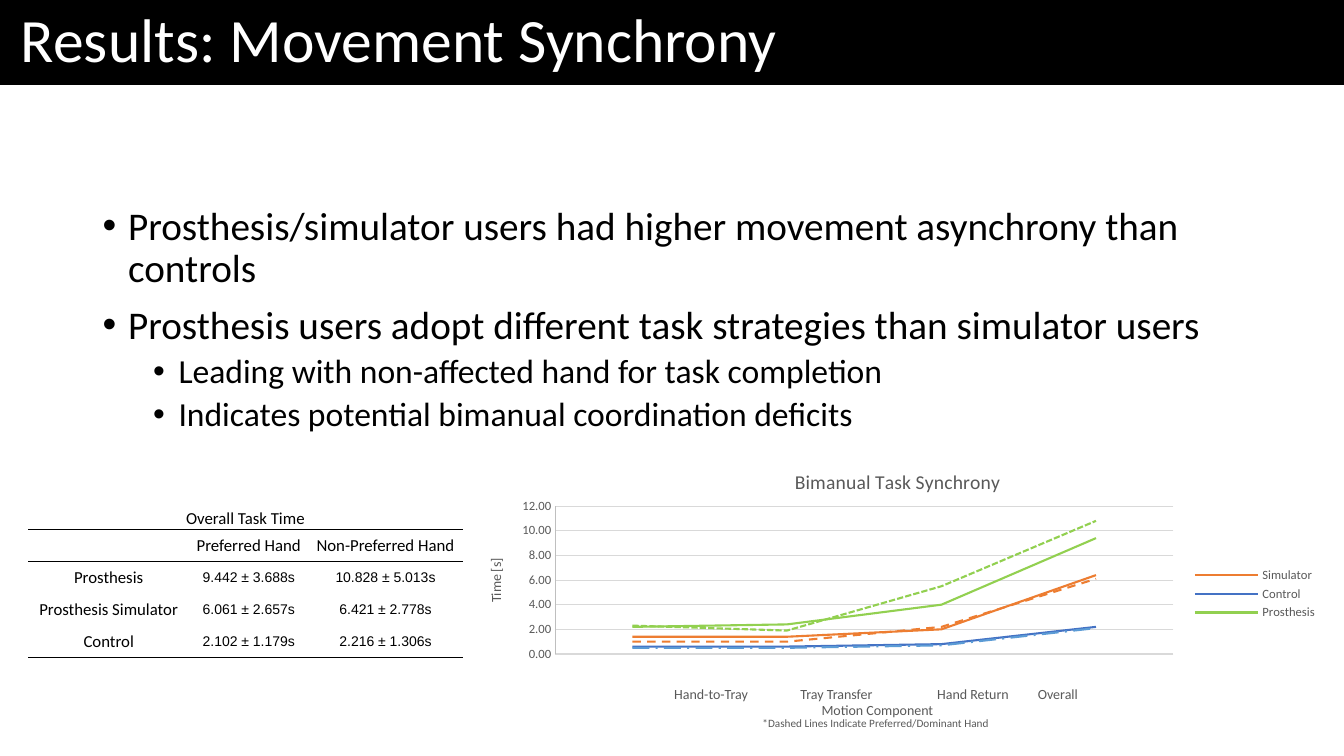
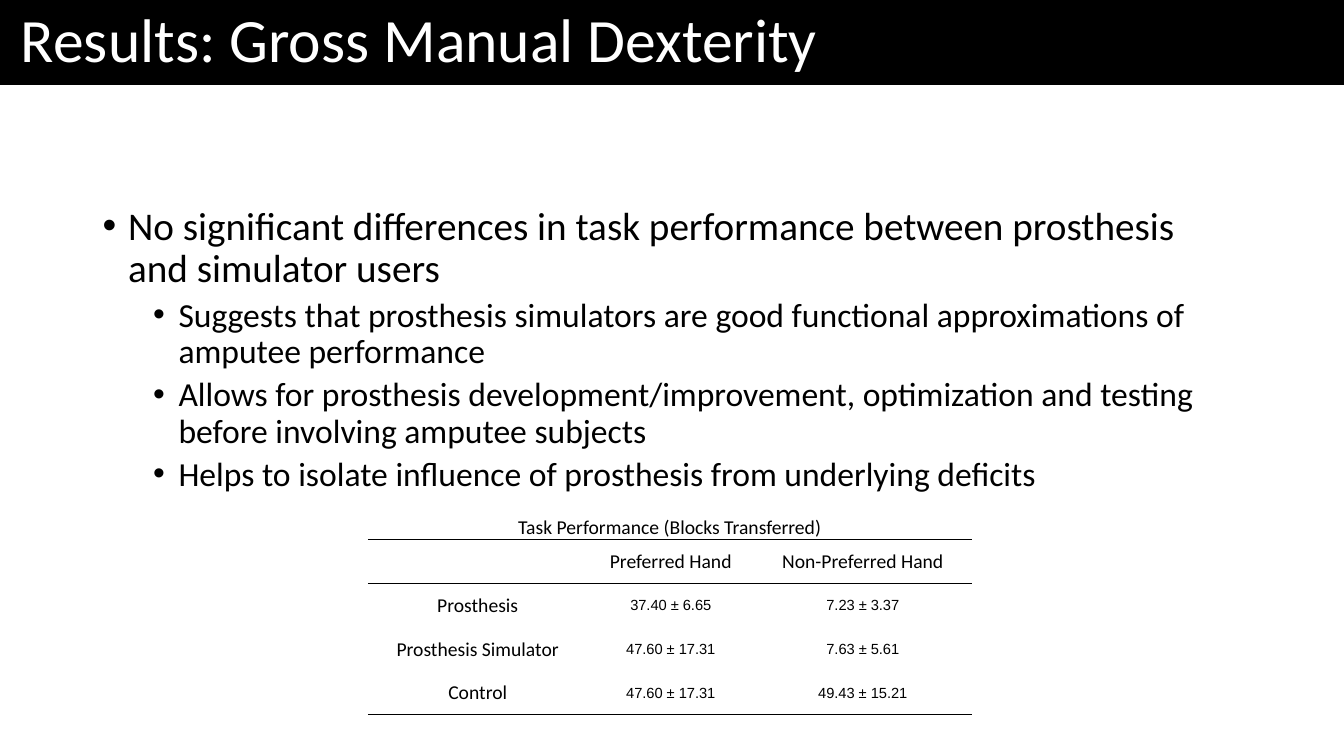
from dataclasses import dataclass
from typing import Optional

from lxml.etree import SubElement
from pptx import Presentation
from pptx.chart.data import XyChartData
from pptx.dml.color import RGBColor
from pptx.enum.chart import XL_AXIS_CROSSES as Crosses
from pptx.enum.chart import XL_CHART_TYPE as ChartType
from pptx.enum.chart import XL_LEGEND_POSITION as LegendPosition
from pptx.enum.chart import XL_TICK_MARK as TickMark
from pptx.enum.dml import MSO_LINE_DASH_STYLE as Dash
from pptx.enum.shapes import MSO_SHAPE as Shape
from pptx.enum.text import MSO_ANCHOR as Anchor
from pptx.enum.text import PP_ALIGN as Align
from pptx.oxml.ns import qn
from pptx.util import Cm, Pt


# Theme
@dataclass(frozen=True)
class Theme:
    font: str = "Calibri"
    number_font: str = "Arial"
    black: str = "000000"
    white: str = "FFFFFF"
    gray: str = "595959"
    axis: str = "BFBFBF"
    grid: str = "D9D9D9"
    orange: str = "ED7D31"
    blue: str = "4472C4"
    light_blue: str = "5B9BD5"
    green: str = "92D050"
    title_size: float = 44
    bullet_sizes: tuple[float, float] = (28, 24)
    chart_title_size: float = 14
    label_size: float = 10
    tick_size: float = 9
    note_size: float = 8


THEME = Theme()
PAGE_WIDTH, PAGE_HEIGHT = 33.87, 19.05
BAND_HEIGHT = 2.13
NO_TABLE_STYLE = "{2D5ABB26-0587-4C30-8999-92F81FD0307C}"


# Content records; lengths in centimetres
@dataclass(frozen=True)
class Bullet:
    text: str
    level: int = 0


@dataclass(frozen=True)
class ResultTable:
    caption: str
    rows: list[tuple[str, str, str]]
    left: float
    top: float
    widths: tuple[float, float, float]
    row_height: float
    text_size: float
    number_size: float


@dataclass(frozen=True)
class TimeSeries:
    name: str
    values: tuple[float, ...]
    color: str
    dash: Optional[Dash] = None  # dashed lines stay out of the legend


@dataclass(frozen=True)
class Label:
    text: str
    center: float
    middle: float
    size: float = THEME.label_size


# Text
def write(para, text: str, *, size: float, color: str = THEME.black,
          font: str = THEME.font, align: Optional[Align] = None) -> None:
    para.alignment = align
    span = para.add_run()
    span.text = text
    style_font(span.font, size, color, font)


def style_font(target, size: float, color: str, font: str = THEME.font) -> None:
    target.size, target.name, target.bold = Pt(size), font, False
    target.color.rgb = RGBColor.from_string(color)


def add_box(page, left: float, top: float, width: float, height: float,
            anchor: Anchor = Anchor.TOP):
    frame = page.shapes.add_textbox(Cm(left), Cm(top), Cm(width), Cm(height)).text_frame
    frame.word_wrap = True
    frame.vertical_anchor = anchor
    return frame


# Parts that both slides share
def add_page(deck, title: str, bullets: list[Bullet], body_height: float):
    page = deck.slides.add_slide(deck.slide_layouts[6])
    band = page.shapes.add_shape(Shape.RECTANGLE, 0, 0, Cm(PAGE_WIDTH), Cm(BAND_HEIGHT))
    band.shadow.inherit = False
    band.fill.solid()
    band.fill.fore_color.rgb = RGBColor.from_string(THEME.black)
    style_line(band.line, THEME.black, 1)

    body = add_box(page, 2.34, 5.08, 29.21, body_height)
    for index, bullet in enumerate(bullets):
        para = body.add_paragraph() if index else body.paragraphs[0]
        add_bullet(para, bullet)

    heading = add_box(page, 0.28, 0.03, 21.31, 2.11, Anchor.MIDDLE).paragraphs[0]
    heading.line_spacing = 0.9
    write(heading, title, size=THEME.title_size, color=THEME.white)
    return page


def add_bullet(para, bullet: Bullet) -> None:
    para.level = bullet.level
    para.line_spacing = 0.9
    para.space_before = Pt(5 if bullet.level else 10)
    write(para, bullet.text, size=THEME.bullet_sizes[bullet.level])
    properties = para._p.get_or_add_pPr()
    properties.set("marL", str(Cm(0.64 + 1.27 * bullet.level)))
    properties.set("indent", str(-Cm(0.64)))
    SubElement(properties, qn("a:buFont")).set("typeface", THEME.number_font)
    SubElement(properties, qn("a:buChar")).set("char", "•")


def style_line(line, color: str, width: float) -> None:
    line.color.rgb = RGBColor.from_string(color)
    line.width = Pt(width)


# Table
def add_result_table(page, data: ResultTable) -> None:
    rows = [(data.caption, "", ""), ("", "Preferred Hand", "Non-Preferred Hand"), *data.rows]
    table = page.shapes.add_table(
        len(rows), 3, Cm(data.left), Cm(data.top), Cm(sum(data.widths)),
        Cm(data.row_height * len(rows))).table
    table.first_row = table.horz_banding = False
    table._tbl.tblPr.find(qn("a:tableStyleId")).text = NO_TABLE_STYLE
    for column, width in zip(table.columns, data.widths):
        column.width = Cm(width)
    table.cell(0, 0).merge(table.cell(0, 2))

    for row, texts in enumerate(rows):
        table.rows[row].height = Cm(data.row_height)
        for column, text in enumerate(texts):
            cell = table.cell(row, column)
            cell.margin_left = cell.margin_right = cell.margin_top = Cm(0.03)
            cell.margin_bottom = 0
            cell.vertical_anchor = Anchor.MIDDLE if row else Anchor.BOTTOM
            if row:
                cell.fill.solid()
                cell.fill.fore_color.rgb = RGBColor.from_string(THEME.white)
            else:
                cell.fill.background()
            if row in (0, 1, len(rows) - 1):
                add_bottom_rule(cell)
            if text:
                numeric = row > 1 and column > 0
                write(cell.text_frame.paragraphs[0], text, align=Align.CENTER,
                      size=data.number_size if numeric else data.text_size,
                      font=THEME.number_font if numeric else THEME.font)


def add_bottom_rule(cell) -> None:
    properties = cell._tc.get_or_add_tcPr()
    rule = SubElement(properties, qn("a:lnB"), w=str(Pt(0.5)))
    properties.insert(0, rule)
    SubElement(SubElement(rule, qn("a:solidFill")), qn("a:srgbClr"), val=THEME.black)


# Chart
def set_layout(parent, **fractions: float) -> None:
    layout = parent.find(qn("c:layout"))
    if layout is None:
        layout = SubElement(parent, qn("c:layout"))
        parent.insert(0 if parent.find(qn("c:tx")) is None else 1, layout)
    manual = SubElement(layout, qn("c:manualLayout"))
    settings = {"xMode": "edge", "yMode": "edge", **fractions}
    if "w" in fractions:
        settings = {"layoutTarget": "inner", **settings}
    for name, value in settings.items():
        SubElement(manual, qn(f"c:{name}")).set("val", str(value))


def add_time_chart(page, series_list: list[TimeSeries]) -> None:
    data = XyChartData(number_format="0.00")
    for item in series_list:
        series = data.add_series(item.name)
        for position, value in enumerate(item.values, start=1):
            series.add_data_point(position, value)
    chart = page.shapes.add_chart(
        ChartType.XY_SCATTER_LINES_NO_MARKERS, Cm(11.66), Cm(11.28), Cm(21.79), Cm(7.37),
        data).chart
    style_font(chart.font, THEME.label_size, THEME.black)
    chart.plots[0].vary_by_categories = False
    set_layout(chart.element.find(f".//{qn('c:plotArea')}"), x=0.107, y=0.2, w=0.715, h=0.506)

    for series, item in zip(chart.plots[0].series, series_list):
        series.smooth = False
        style_line(series.format.line, item.color, 1.5)
        if item.dash is not None:
            series.format.line.dash_style = item.dash

    # Titles
    chart.has_title = True
    write(chart.chart_title.text_frame.paragraphs[0], "Bimanual Task Synchrony",
          size=THEME.chart_title_size, color=THEME.gray)
    set_layout(chart.chart_title.element, x=0.38, y=0.06)
    times = chart.value_axis
    times.has_title = True
    write(times.axis_title.text_frame.paragraphs[0], "Time [s]",
          size=THEME.label_size, color=THEME.gray)
    rotation = times.axis_title.element.find(f".//{qn('a:bodyPr')}")
    rotation.set("rot", "-5400000")
    rotation.set("vert", "horz")
    set_layout(times.axis_title.element, x=0.025, y=0.37)

    # Axes
    times.minimum_scale, times.maximum_scale, times.major_unit = 0, 12, 2
    times.major_tick_mark = times.minor_tick_mark = TickMark.NONE
    times.tick_labels.number_format = "0.00"
    times.tick_labels.number_format_is_linked = False
    style_font(times.tick_labels.font, THEME.tick_size, THEME.gray)
    style_line(times.format.line, THEME.axis, 0.75)
    style_line(times.major_gridlines.format.line, THEME.grid, 0.75)
    components = chart.category_axis
    components.minimum_scale, components.maximum_scale = 0.5, 4.5
    components.has_major_gridlines = False
    components.crosses = Crosses.MINIMUM
    components.visible = False

    # Legend with the solid lines only
    chart.has_legend = True
    chart.legend.position = LegendPosition.RIGHT
    chart.legend.include_in_layout = False
    style_font(chart.legend.font, THEME.tick_size, THEME.gray)
    legend = chart.element.find(f".//{qn('c:legend')}")
    dashed = [index for index, item in enumerate(series_list) if item.dash is not None]
    for place, index in enumerate(dashed, start=1):
        entry = SubElement(legend, qn("c:legendEntry"))
        SubElement(entry, qn("c:idx")).set("val", str(index))
        SubElement(entry, qn("c:delete")).set("val", "1")
        legend.insert(place, entry)


def add_label(page, label: Label) -> None:
    width, height = 8, 0.5
    frame = add_box(page, label.center - width / 2, label.middle - height / 2,
                    width, height, Anchor.MIDDLE)
    frame.margin_top = frame.margin_bottom = 0
    write(frame.paragraphs[0], label.text, size=label.size, color=THEME.gray,
          align=Align.CENTER)


# Slide content
SYNCHRONY_BULLETS = [
    Bullet("Prosthesis/simulator users had higher movement asynchrony than controls"),
    Bullet("Prosthesis users adopt different task strategies than simulator users"),
    Bullet("Leading with non-affected hand for task completion", 1),
    Bullet("Indicates potential bimanual coordination deficits", 1),
]
DEXTERITY_BULLETS = [
    Bullet("No significant differences in task performance between prosthesis and simulator users"),
    Bullet("Suggests that prosthesis simulators are good functional approximations of amputee performance", 1),
    Bullet("Allows for prosthesis development/improvement, optimization and testing before involving amputee subjects", 1),
    Bullet("Helps to isolate influence of prosthesis from underlying deficits", 1),
]
TASK_TIME = ResultTable("Overall Task Time", [
    ("Prosthesis", "9.442 ± 3.688s", "10.828 ± 5.013s"),
    ("Prosthesis Simulator", "6.061 ± 2.657s", "6.421 ± 2.778s"),
    ("Control", "2.102 ± 1.179s", "2.216 ± 1.306s"),
], 0.71, 12.52, (4.06, 3, 3.89), 0.81, 12, 10)
BLOCKS = ResultTable("Task Performance (Blocks Transferred)", [
    ("Prosthesis", "37.40 ± 6.65", "7.23 ± 3.37"),
    ("Prosthesis Simulator", "47.60 ± 17.31", "7.63 ± 5.61"),
    ("Control", "47.60 ± 17.31", "49.43 ± 15.21"),
], 9.27, 12.5, (5.54, 4.19, 5.49), 1.1, 14, 10.5)
TIMES = [
    TimeSeries("Simulator, preferred", (1, 1, 2.2, 6.1), THEME.orange, Dash.DASH),
    TimeSeries("Simulator", (1.4, 1.4, 2, 6.4), THEME.orange),
    TimeSeries("Control, preferred", (0.5, 0.5, 0.7, 2.1), THEME.light_blue, Dash.LONG_DASH_DOT),
    TimeSeries("Control", (0.6, 0.6, 0.8, 2.2), THEME.blue),
    TimeSeries("Prosthesis", (2.2, 2.4, 4, 9.4), THEME.green),
    TimeSeries("Prosthesis, preferred", (2.3, 1.9, 5.5, 10.8), THEME.green, Dash.SQUARE_DOT),
]
CHART_LABELS = [
    Label("Hand-to-Tray", 17.92, 17.48),
    Label("Tray Transfer", 21.08, 17.48),
    Label("Hand Return", 24.52, 17.48),
    Label("Overall", 26.66, 17.48),
    Label("Motion Component", 22.11, 17.88),
    Label("*Dashed Lines Indicate Preferred/Dominant Hand", 22.07, 18.23, THEME.note_size),
]


def main() -> None:
    deck = Presentation()
    deck.slide_width, deck.slide_height = Cm(PAGE_WIDTH), Cm(PAGE_HEIGHT)

    page = add_page(deck, "Results: Movement Synchrony", SYNCHRONY_BULLETS, 6.55)
    add_time_chart(page, TIMES)
    for label in CHART_LABELS:
        add_label(page, label)
    add_result_table(page, TASK_TIME)

    page = add_page(deck, "Results: Gross Manual Dexterity", DEXTERITY_BULLETS, 12.09)
    add_result_table(page, BLOCKS)
    deck.save("out.pptx")


if __name__ == "__main__":
    main()
